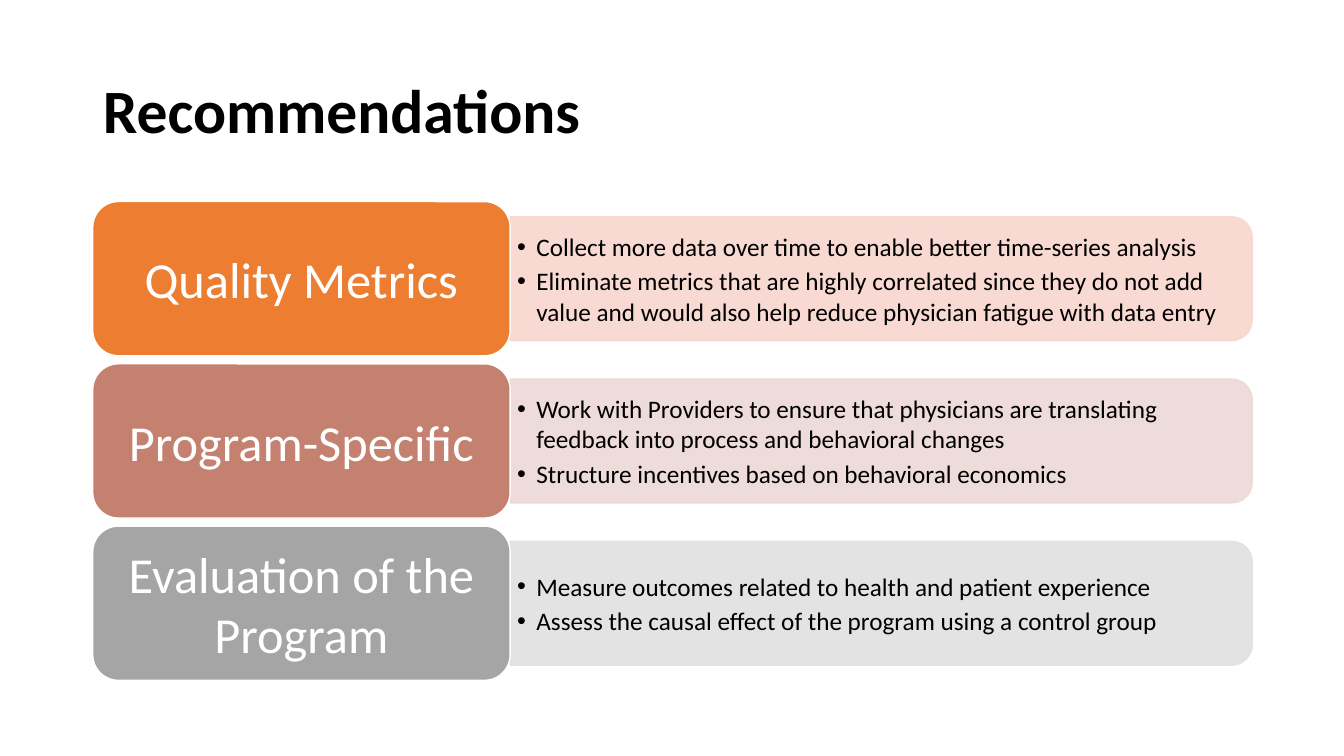
from lxml import etree
from pptx import Presentation
from pptx import util as u
from pptx.dml.color import RGBColor
from pptx.enum import shapes, text
from pptx.oxml import ns

Inches = u.Inches


def color(value):
    return RGBColor.from_string(value)


def apply(target, values):
    for name, value in values.items():
        setattr(target, name, value)


class SlideBuilder:
    """Hold the style and current slide, and add each kind of element."""

    font = "Calibri"
    dark, light = "000000", "FFFFFF"

    def __init__(self, presentation):
        self.slide = presentation.slides.add_slide(presentation.slide_layouts[5])

    def frame(self, shape, horizontal, vertical):
        apply(shape.text_frame, {
            "word_wrap": True,
            "vertical_anchor": text.MSO_ANCHOR.MIDDLE,
            "margin_left": Inches(horizontal), "margin_right": Inches(horizontal),
            "margin_top": Inches(vertical), "margin_bottom": Inches(vertical),
        })
        return shape.text_frame

    def add_words(self, paragraph, words, size, ink, bold=False, **layout):
        run = paragraph.add_run()
        run.text = words
        apply(run.font, {"name": self.font, "size": u.Pt(size), "bold": bold})
        run.font.color.rgb = color(ink)
        apply(paragraph, layout)

    def title(self, words, left, top, width, height):
        shape = self.slide.shapes.title
        apply(shape, {"left": Inches(left), "top": Inches(top),
                      "width": Inches(width), "height": Inches(height)})
        frame = self.frame(shape, 0.1, 0.05)
        self.add_words(frame.paragraphs[0], words, 44, self.dark, True,
                       alignment=text.PP_ALIGN.LEFT, line_spacing=0.9)

    def box(self, kind, left, top, width, height, fill, line):
        shape = self.slide.shapes.add_shape(
            kind, Inches(left), Inches(top), Inches(width), Inches(height))
        shape.shadow.inherit = False
        shape.fill.solid()
        shape.fill.fore_color.rgb = color(fill)
        shape.line.color.rgb = color(line)
        shape.line.width = u.Pt(1)
        return shape

    def panel(self, left, top, width, height, fill):
        shift = (width - height) / 2
        shape = self.box(shapes.MSO_SHAPE.ROUND_2_SAME_RECTANGLE,
                         left + shift, top - shift, height, width, fill, fill)
        shape.rotation = 90
        for swatch in shape._element.spPr.iter(ns.qn("a:srgbClr")):
            etree.SubElement(swatch, ns.qn("a:alpha"), val="90000")

    def bullets(self, items, left, top, width, height):
        shape = self.slide.shapes.add_textbox(
            Inches(left), Inches(top), Inches(width), Inches(height))
        frame = self.frame(shape, 0.07, 0.04)
        indent = Inches(0.19)
        for index, item in enumerate(items):
            paragraph = frame.add_paragraph() if index else frame.paragraphs[0]
            self.add_words(paragraph, item, 18, self.dark, level=1, space_after=u.Pt(3))
            properties = paragraph._p.get_or_add_pPr()
            properties.set("marL", str(indent))
            properties.set("indent", str(-indent))
            etree.SubElement(properties, ns.qn("a:buFont"), typeface="Arial")
            etree.SubElement(properties, ns.qn("a:buChar"), char="•")

    def label(self, words, left, top, width, height, fill):
        shape = self.box(shapes.MSO_SHAPE.ROUNDED_RECTANGLE,
                         left, top, width, height, fill, self.light)
        frame = self.frame(shape, 0.22, 0.14)
        self.add_words(frame.paragraphs[0], words, 36, self.light,
                       alignment=text.PP_ALIGN.CENTER)


RECOMMENDATIONS = [
    ("Quality Metrics", "ED7D31", "F8D7CE", [
        "Collect more data over time to enable better time-series analysis",
        "Eliminate metrics that are highly correlated since they do not add value "
        "and would also help reduce physician fatigue with data entry"]),
    ("Program-Specific", "C48170", "EDD9D7", [
        "Work with Providers to ensure that physicians are translating feedback "
        "into process and behavioral changes",
        "Structure incentives based on behavioral economics"]),
    ("Evaluation of the Program", "A5A5A5", "E1E1E1", [
        "Measure outcomes related to health and patient experience",
        "Assess the causal effect of the program using a control group"]),
]
LEFT, TOP, PITCH = 0.92, 2, 1.61
LABEL_WIDTH, LABEL_HEIGHT = 4.14, 1.53
PANEL_WIDTH, PANEL_HEIGHT = 7.36, 1.23
BULLETS_WIDTH, BULLETS_HEIGHT = 7.3, 1.11

presentation = Presentation()
apply(presentation, {"slide_width": Inches(13.33), "slide_height": Inches(7.5)})
builder = SlideBuilder(presentation)
builder.title("Recommendations", LEFT, 0.4, 11.5, 1.45)

panel_left = LEFT + LABEL_WIDTH
for row, (heading, strong, pale, items) in enumerate(RECOMMENDATIONS):
    top = TOP + row * PITCH
    middle = top + LABEL_HEIGHT / 2
    builder.panel(panel_left, middle - PANEL_HEIGHT / 2, PANEL_WIDTH, PANEL_HEIGHT, pale)
    builder.bullets(items, panel_left, middle - BULLETS_HEIGHT / 2,
                    BULLETS_WIDTH, BULLETS_HEIGHT)
    builder.label(heading, LEFT, top, LABEL_WIDTH, LABEL_HEIGHT, strong)

presentation.save("out.pptx")
